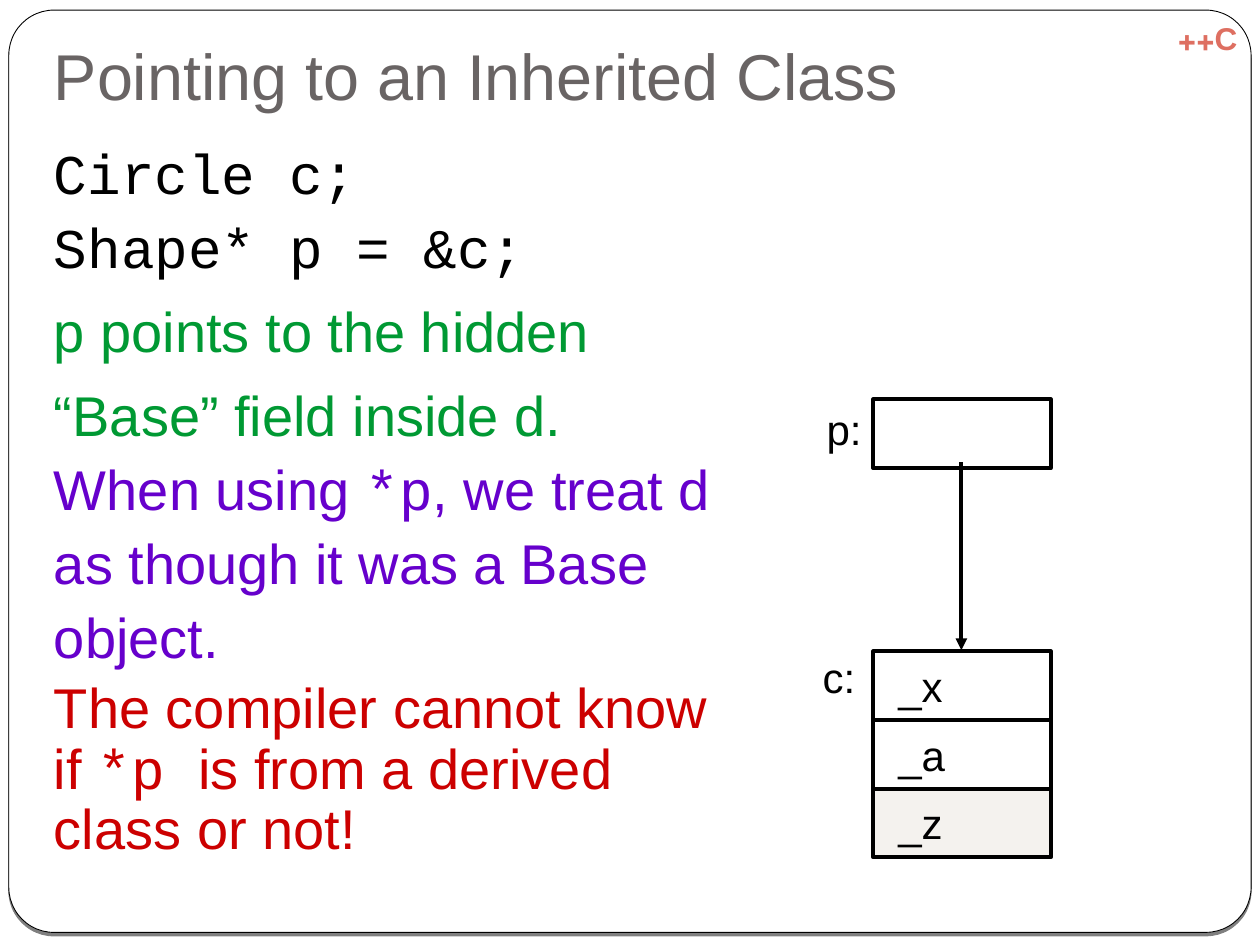
from lxml import etree
from pptx import Presentation
from pptx.dml.color import RGBColor
from pptx.enum.shapes import MSO_CONNECTOR, MSO_SHAPE
from pptx.enum.text import MSO_ANCHOR, PP_ALIGN
from pptx.oxml import parse_xml
from pptx.oxml.ns import nsdecls, qn
from pptx.util import Inches, Pt

RECT, ROUND = MSO_SHAPE.RECTANGLE, MSO_SHAPE.ROUNDED_RECTANGLE
STRAIGHT = MSO_CONNECTOR.STRAIGHT
TOP, MIDDLE, BOTTOM = MSO_ANCHOR.TOP, MSO_ANCHOR.MIDDLE, MSO_ANCHOR.BOTTOM
LEFT, CENTER = PP_ALIGN.LEFT, PP_ALIGN.CENTER

THEME = {
    "sans": "Arial", "mono": "Courier New",
    "white": "FFFFFF", "black": "000000", "grey": "696464", "coral": "DE6F61",
    "green": "009933", "purple": "6600CC", "red": "CC0000", "sand": "F4F2EE",
    "title_size": 37, "body_size": 32, "label_size": 24, "badge_size": 18,
    "frame_line": 0.5, "box_line": 2.25,
}

TITLE = "Pointing to an Inherited Class"
BADGE = "C++"
BODY = [
    (1.1, [("Circle c;\nShape* p = &c;", "mono", "black")]),
    (1.1, [("p points to the hidden", "sans", "green")]),
    (1.1, [("“Base” field inside d.\n", "sans", "green"),
           ("When using ", "sans", "purple"),
           ("*p", "mono", "purple"),
           (", we treat d as though it was a Base object.", "sans", "purple")]),
    (0.9, [("The compiler cannot know if ", "sans", "red"),
           ("*p ", "mono", "red"),
           ("is from a derived class or not!", "sans", "red")]),
]
FIELDS = [("_x", None), ("_a", None), ("_z", "sand")]
LABELS = [("p:", 6.36, 3.05, 0.68), ("c:", 6.33, 5.02, 0.66)]

BOX_X, BOX_W, BOX_H = 6.93, 1.41, 0.545
POINTER_Y, OBJECT_Y = 3.17, 5.17
ARROW_X, ARROW_Y = 7.63, 3.67
MARGIN = (0.1, 0.05, 0.1, 0.05)
DIAGRAM_MARGIN = (0.2, 0.15, 0.2, 0.15)


def rgb(name):
    return RGBColor.from_string(THEME[name])


def set_frame(sp, margin, anchor=TOP, wrap=True):
    tf = sp.text_frame
    sides = ("margin_left", "margin_top", "margin_right", "margin_bottom")
    values = dict(zip(sides, map(Inches, margin)))
    for key, value in {**values, "vertical_anchor": anchor, "word_wrap": wrap}.items():
        setattr(tf, key, value)
    return tf


def add_text(p, text, size, color="black", font="sans", bold=False):
    for i, line in enumerate(text.split("\n")):
        if i:
            p.add_line_break()
        if line:
            r = p.add_run()
            r.text = line
            values = {"name": THEME[font], "size": Pt(THEME[size]), "bold": bold}
            for key, value in values.items():
                setattr(r.font, key, value)
            r.font.color.rgb = rgb(color)


def add_box(slide, area, fill=None, line="box_line", shape=RECT):
    sp = slide.shapes.add_shape(shape, *map(Inches, area))
    sp.shadow.inherit = False
    if fill:
        sp.fill.solid()
        sp.fill.fore_color.rgb = rgb(fill)
    else:
        sp.fill.background()
    sp.line.color.rgb = rgb("black")
    sp.line.width = Pt(THEME[line])
    return sp


def add_textbox(slide, area, margin=MARGIN, anchor=TOP, wrap=True):
    sp = slide.shapes.add_textbox(*map(Inches, area))
    return set_frame(sp, margin, anchor, wrap)


def add_page(slide):
    slide.background.fill.solid()
    slide.background.fill.fore_color.rgb = rgb("white")
    sp = add_box(slide, (0.07, 0.08, 9.86, 7.32), "white", "frame_line", ROUND)
    sp.adjustments[0] = 0.049
    effects = sp._element.spPr.find(qn("a:effectLst"))
    effects.append(parse_xml(
        f'<a:outerShdw {nsdecls("a")} blurRad="0" dist="{Pt(2)}" dir="5400000">'
        f'<a:srgbClr val="{THEME["black"]}"><a:alpha val="50000"/></a:srgbClr>'
        '</a:outerShdw>'))

    p = add_textbox(slide, (9.17, 0.1, 0.83, 0.4)).paragraphs[0]
    p.alignment = CENTER
    p._p.get_or_add_pPr().set("rtl", "1")
    add_text(p, BADGE, "badge_size", "coral", bold=True)

    p = add_textbox(slide, (0.33, 0.3, 9.33, 0.7), (0.1, 0.05, 0.1, 0.1), BOTTOM).paragraphs[0]
    p.line_spacing = 0.8
    add_text(p, TITLE, "title_size", "grey")


def add_body(slide):
    tf = add_textbox(slide, (0.33, 1, 5.58, 6.25))
    for i, (spacing, runs) in enumerate(BODY):
        p = tf.add_paragraph() if i else tf.paragraphs[0]
        for key, value in {"line_spacing": spacing, "space_before": Pt(5.8)}.items():
            setattr(p, key, value)
        for text, font, color in runs:
            add_text(p, text, "body_size", color, font)


def add_diagram(slide):
    for row, (name, fill) in enumerate(FIELDS):
        sp = add_box(slide, (BOX_X, OBJECT_Y + row * BOX_H, BOX_W, BOX_H), fill)
        p = set_frame(sp, DIAGRAM_MARGIN, MIDDLE).paragraphs[0]
        p.alignment = LEFT
        add_text(p, name, "label_size")
    add_box(slide, (BOX_X, POINTER_Y, BOX_W, BOX_H))
    for text, x, y, w in LABELS:
        tf = add_textbox(slide, (x, y, w, 0.7), DIAGRAM_MARGIN, wrap=False)
        add_text(tf.paragraphs[0], text, "label_size")

    ends = map(Inches, (ARROW_X, ARROW_Y, ARROW_X, OBJECT_Y - 0.01))
    arrow = slide.shapes.add_connector(STRAIGHT, *ends)
    arrow.line.color.rgb = rgb("black")
    arrow.line.width = Pt(THEME["box_line"])
    etree.SubElement(arrow.line._get_or_add_ln(), qn("a:tailEnd"), type="triangle")
    etree.SubElement(arrow._element.spPr, qn("a:effectLst"))


def main():
    prs = Presentation()
    prs.slide_width, prs.slide_height = Inches(10), Inches(7.5)
    slide = prs.slides.add_slide(prs.slide_layouts[6])
    add_page(slide)
    add_body(slide)
    add_diagram(slide)
    prs.save("out.pptx")


if __name__ == "__main__":
    main()
